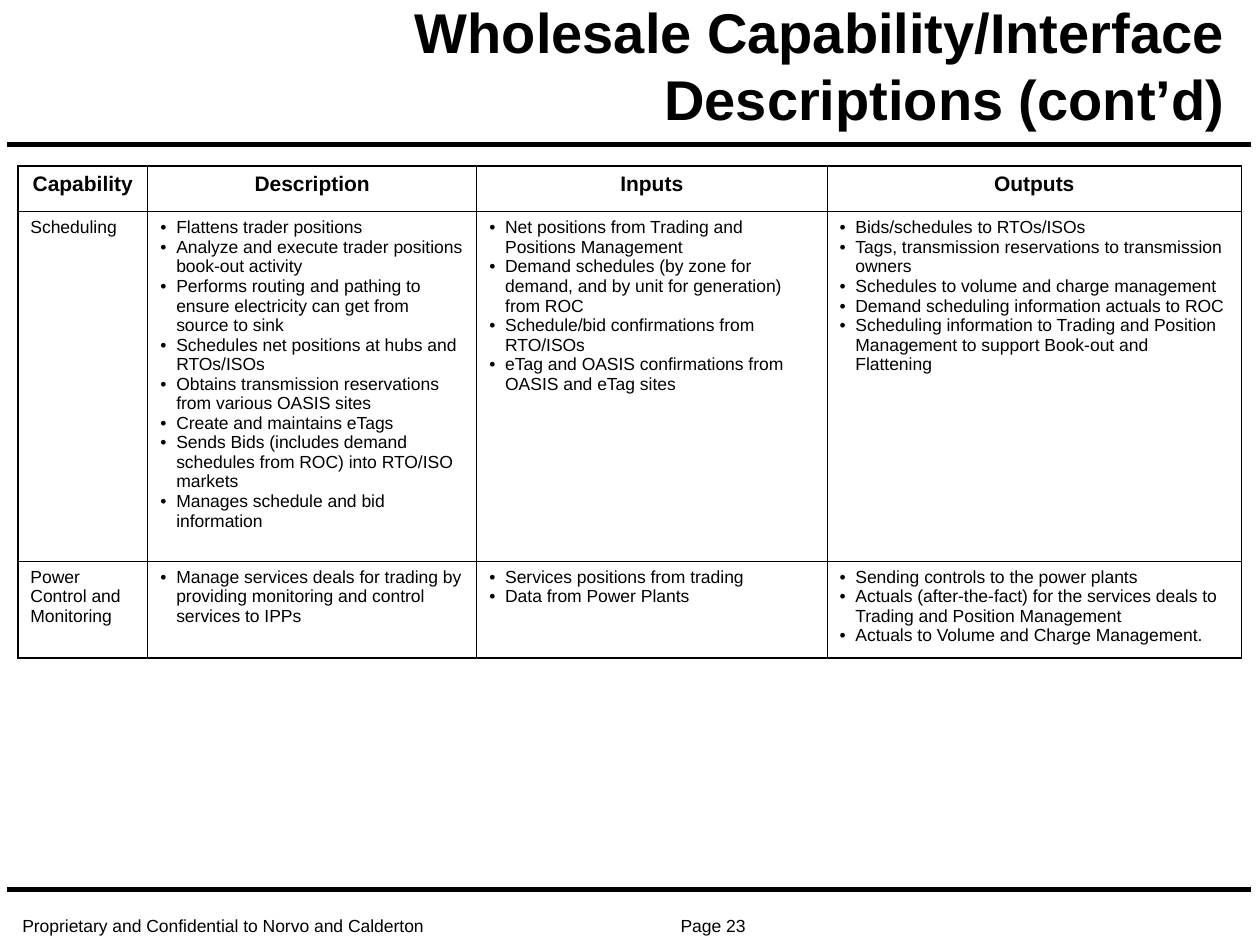
from dataclasses import dataclass

from lxml import etree
from pptx import Presentation, util as u
from pptx.dml.color import RGBColor
from pptx.enum import shapes, text
from pptx.oxml.ns import qn

FONT = "Arial"
BLACK = "000000"
WHITE = "FFFFFF"
OUTER_BORDER, INNER_BORDER = 1.08, 0.45
COLUMN_WIDTHS = (2.62, 6.63, 7.06, 8.36)
ROW_HEIGHTS = (0.92, 7.04, 1.96)
HEADINGS = ("Capability", "Description", "Inputs", "Outputs")


@dataclass
class Capability:
    name: str
    description: list[str]
    inputs: list[str]
    outputs: list[str]


CAPABILITIES = [
    Capability(
        "Scheduling",
        [
            "Flattens trader positions",
            "Analyze and execute trader positions book-out activity",
            "Performs routing and pathing to ensure electricity can get from source to sink",
            "Schedules net positions at hubs and RTOs/ISOs",
            "Obtains transmission reservations from various OASIS sites",
            "Create and maintains eTags",
            "Sends Bids (includes demand schedules from ROC) into RTO/ISO markets",
            "Manages schedule and bid information",
        ],
        [
            "Net positions from Trading and Positions Management",
            "Demand schedules (by zone for demand, and by unit for generation) from ROC",
            "Schedule/bid confirmations from RTO/ISOs",
            "eTag and OASIS confirmations from OASIS and eTag sites",
        ],
        [
            "Bids/schedules to RTOs/ISOs",
            "Tags, transmission reservations to transmission owners",
            "Schedules to volume and charge management",
            "Demand scheduling information actuals to ROC",
            "Scheduling information to Trading and Position Management "
            "to support Book-out and Flattening",
        ],
    ),
    Capability(
        "Power Control and Monitoring",
        [
            "Manage services deals for trading by providing monitoring "
            "and control services to IPPs",
        ],
        ["Services positions from trading", "Data from Power Plants"],
        [
            "Sending controls to the power plants",
            "Actuals (after-the-fact) for the services deals to "
            "Trading and Position Management",
            "Actuals to Volume and Charge Management.",
        ],
    ),
]


def color(value: str) -> RGBColor:
    return RGBColor.from_string(value)


def style(paragraph, size: float, bold: bool = False, align=text.PP_ALIGN.LEFT) -> None:
    paragraph.alignment = align
    font = paragraph.font
    font.name, font.size, font.bold = FONT, u.Pt(size), bold
    font.color.rgb = color(BLACK)


def add_bullet(paragraph) -> None:
    properties = paragraph._p.get_or_add_pPr()
    indent = u.Cm(0.32)
    properties.set("marL", str(indent))
    properties.set("indent", str(-indent))
    bullet_color = etree.SubElement(properties, qn("a:buClr"))
    etree.SubElement(bullet_color, qn("a:srgbClr"), val=BLACK)
    etree.SubElement(properties, qn("a:buFont"), typeface=FONT)
    etree.SubElement(properties, qn("a:buChar"), char="•")


def add_right_tab(paragraph, position: u.Length) -> None:
    tabs = etree.SubElement(paragraph._p.get_or_add_pPr(), qn("a:tabLst"))
    etree.SubElement(tabs, qn("a:tab"), pos=str(position), algn="r")


def set_border(cell, side: str, width: float) -> None:
    """Draw one side of a cell: L, R, T or B, in that order."""
    line = etree.SubElement(
        cell._tc.get_or_add_tcPr(), qn(f"a:ln{side}"), w=str(u.Pt(width))
    )
    fill = etree.SubElement(line, qn("a:solidFill"))
    etree.SubElement(fill, qn("a:srgbClr"), val=BLACK)


def format_cell(cell, row: int, column: int) -> None:
    """Give a cell its borders, heavier on the table's edge, and a white fill."""
    on_edge = {
        "L": column == 0,
        "R": column == len(COLUMN_WIDTHS) - 1,
        "T": row == 0,
        "B": row == len(ROW_HEIGHTS) - 1,
    }
    for side, outer in on_edge.items():
        set_border(cell, side, OUTER_BORDER if outer else INNER_BORDER)
    cell.fill.solid()
    cell.fill.fore_color.rgb = color(WHITE)


def fill_cell(cell, lines: list[str], bulleted: bool) -> None:
    frame = cell.text_frame
    for index, line in enumerate(lines):
        paragraph = frame.add_paragraph() if index else frame.paragraphs[0]
        paragraph.text = line
        if bulleted:
            add_bullet(paragraph)
        style(paragraph, 10)


def add_title(slide) -> None:
    title = slide.shapes.title
    title.left, title.top = u.Cm(7.14), u.Cm(0.99)
    title.width, title.height = u.Cm(17.81), u.Cm(1.8)
    frame = title.text_frame
    frame.text = "Wholesale Capability/Interface Descriptions (cont’d)"
    frame.word_wrap = True
    frame.auto_size = text.MSO_AUTO_SIZE.NONE
    frame.vertical_anchor = text.MSO_ANCHOR.BOTTOM
    style(frame.paragraphs[0], 32, True, text.PP_ALIGN.RIGHT)


def add_rule(slide, top: float) -> None:
    """Draw a heavy line across the slide."""
    rule = slide.shapes.add_connector(
        shapes.MSO_CONNECTOR.STRAIGHT, u.Cm(0.15), u.Cm(top), u.Cm(25.22), u.Cm(top)
    )
    rule.line.color.rgb = color(BLACK)
    rule.line.width = u.Pt(3)
    etree.SubElement(rule._element.spPr, qn("a:effectLst"))


def add_capability_table(slide) -> None:
    table = slide.shapes.add_table(
        len(ROW_HEIGHTS), len(COLUMN_WIDTHS), u.Cm(0.36), u.Cm(3.35),
        u.Cm(sum(COLUMN_WIDTHS)), u.Cm(sum(ROW_HEIGHTS)),
    ).table
    table.first_row = table.horz_banding = False
    for column, width in zip(table.columns, COLUMN_WIDTHS):
        column.width = u.Cm(width)
    for row, height in zip(table.rows, ROW_HEIGHTS):
        row.height = u.Cm(height)

    for column, heading in enumerate(HEADINGS):
        cell = table.cell(0, column)
        cell.text = heading
        style(cell.text_frame.paragraphs[0], 12, True, text.PP_ALIGN.CENTER)
        format_cell(cell, 0, column)
    for row, item in enumerate(CAPABILITIES, start=1):
        contents = ([item.name], item.description, item.inputs, item.outputs)
        for column, lines in enumerate(contents):
            cell = table.cell(row, column)
            fill_cell(cell, lines, bulleted=column > 0)
            format_cell(cell, row, column)


def add_footer(slide) -> None:
    footer = slide.shapes.add_textbox(u.Cm(0.2), u.Cm(18.42), u.Cm(15.44), u.Cm(0.58))
    frame = footer.text_frame
    frame.word_wrap = True
    frame.vertical_anchor = text.MSO_ANCHOR.BOTTOM
    paragraph = frame.paragraphs[0]
    paragraph.text = "Proprietary and Confidential to Norvo and Calderton\tPage 23"
    add_right_tab(paragraph, u.Cm(14.58))
    paragraph.line_spacing = 0.8
    style(paragraph, 10)


def main() -> None:
    presentation = Presentation()
    presentation.slide_width, presentation.slide_height = u.Cm(25.4), u.Cm(19.05)
    slide = presentation.slides.add_slide(presentation.slide_layouts[5])
    add_title(slide)
    for top in (2.92, 17.93):
        add_rule(slide, top)
    add_capability_table(slide)
    add_footer(slide)
    presentation.save("out.pptx")


if __name__ == "__main__":
    main()
